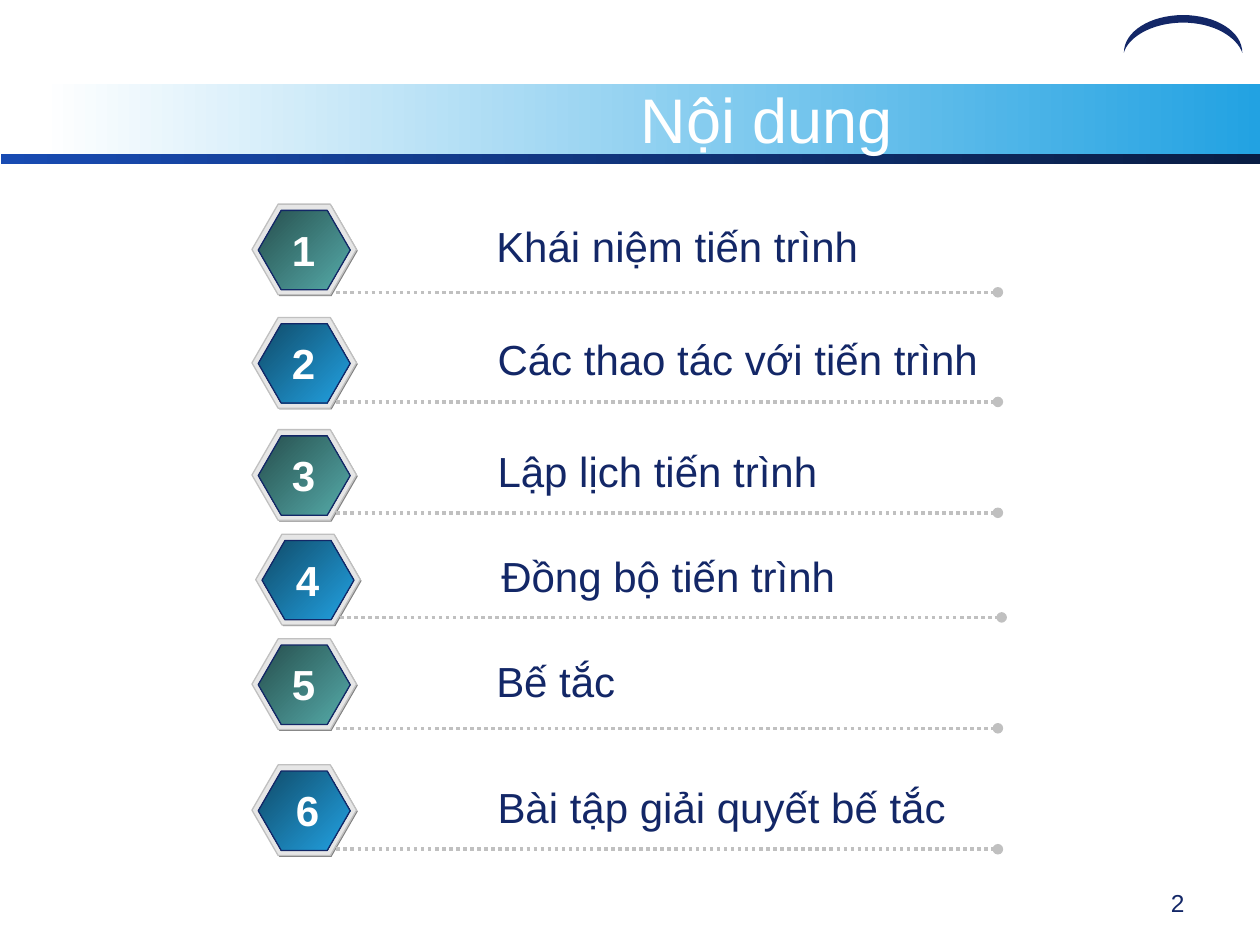
from dataclasses import dataclass

import pptx
import pptx.dml.color
import pptx.enum.dml
import pptx.enum.shapes
import pptx.enum.text
import pptx.oxml
import pptx.oxml.ns
import pptx.util

Inches = pptx.util.Inches
Pt = pptx.util.Pt
Shapes = pptx.enum.shapes.MSO_SHAPE
Align = pptx.enum.text.PP_ALIGN
Anchor = pptx.enum.text.MSO_ANCHOR

NAVY, WHITE, SILVER = "132767", "FFFFFF", "C0C0C0"
TEAL = ("274F4E", "55ABA9")
BLUE = ("104B69", "22A2E2")


@dataclass
class AgendaItem:
    text: str
    top: float           # top of the badge
    rule_y: float        # height of the dotted rule
    colors: tuple[str, str]
    shift: float = 0     # sideways offset of the whole row
    number_shift: float = 0
    text_shift: float = 0


ITEMS = [
    AgendaItem("Khái niệm tiến trình", 1.62, 2.32, TEAL),
    AgendaItem("Các thao tác với tiến trình", 2.52, 3.19, BLUE, text_shift=0.01),
    AgendaItem("Lập lịch tiến trình", 3.41, 4.07, TEAL, text_shift=0.01),
    AgendaItem("Đồng bộ tiến trình", 4.24, 4.9, BLUE, shift=0.03, text_shift=0.01),
    AgendaItem("Bế tắc", 5.07, 5.78, TEAL),
    AgendaItem("Bài tập giải quyết bế tắc", 6.07, 6.74, BLUE,
               number_shift=0.03, text_shift=0.01),
]


def rgb(value: str) -> pptx.dml.color.RGBColor:
    return pptx.dml.color.RGBColor.from_string(value)


def paint(shape, colors: tuple[str, ...], angle: float = 0, outline: str | None = None) -> None:
    """Fill with one colour or a two-colour gradient, and set the outline."""
    shape.shadow.inherit = False
    if len(colors) == 1:
        shape.fill.solid()
        shape.fill.fore_color.rgb = rgb(colors[0])
    else:
        shape.fill.gradient()
        shape.fill.gradient_angle = angle
        for stop, color in zip(shape.fill.gradient_stops, colors):
            stop.color.rgb = rgb(color)
    if outline:
        shape.line.color.rgb = rgb(outline)
        shape.line.width = Pt(0.75)
    else:
        shape.line.fill.background()


def add_block(shapes, kind, left: float, top: float, width: float, height: float,
              colors: tuple[str, ...], angle: float = 0, outline: str | None = None):
    shape = shapes.add_shape(kind, Inches(left), Inches(top), Inches(width), Inches(height))
    paint(shape, colors, angle, outline)
    return shape


def write(frame, text: str, *, size: float, color: str, bold: bool = False,
          align=Align.LEFT, anchor=Anchor.TOP, wrap: bool = True) -> None:
    frame.word_wrap = wrap
    frame.auto_size = pptx.enum.text.MSO_AUTO_SIZE.NONE
    frame.vertical_anchor = anchor
    paragraph = frame.paragraphs[0]
    paragraph.text = text
    paragraph.alignment = align
    paragraph.font.name = "Arial"
    paragraph.font.size = Pt(size)
    paragraph.font.bold = bold
    paragraph.font.color.rgb = rgb(color)


def add_label(slide, left: float, top: float, width: float, height: float,
              text: str, **text_format) -> None:
    box = slide.shapes.add_textbox(Inches(left), Inches(top), Inches(width), Inches(height))
    write(box.text_frame, text, **text_format)


def add_rule(slide, left: float, y: float, width: float) -> None:
    """Dotted line with a round end."""
    rule = slide.shapes.add_connector(
        pptx.enum.shapes.MSO_CONNECTOR.STRAIGHT,
        Inches(left), Inches(y), Inches(left + width), Inches(y))
    rule.line.color.rgb = rgb(SILVER)
    rule.line.width = Pt(2)
    rule.line.dash_style = pptx.enum.dml.MSO_LINE.ROUND_DOT
    namespace = pptx.oxml.ns.nsdecls("a")
    rule.line._get_or_add_ln().append(pptx.oxml.parse_xml(f'<a:tailEnd {namespace} type="oval"/>'))
    rule.element.spPr.append(pptx.oxml.parse_xml(f"<a:effectLst {namespace}/>"))


def add_badge(slide, left: float, top: float, colors: tuple[str, str]) -> None:
    """Hexagon with a shadow edge, a pale rim and a gradient face."""
    group = slide.shapes.add_group_shape()
    layers = [
        (0.01, 0.83, 0.72, ("808080",), None),
        (0, 0.83, 0.72, ("E6E6E6",), SILVER),
        (0.05, 0.73, 0.63, colors, NAVY),
    ]
    for inset, width, height, fill, outline in layers:
        hexagon = add_block(group.shapes, Shapes.HEXAGON, left + inset, top + inset,
                            width, height, fill, 315, outline)
        hexagon.adjustments[0] = 0.289


def add_item(slide, number: int, item: AgendaItem) -> None:
    add_badge(slide, 2 + item.shift, item.top, item.colors)
    add_rule(slide, 2.67 + item.shift, item.rule_y, 5.25)
    add_label(slide, 3.84 + item.shift + item.text_shift, item.top + 0.08, 4.01, 0.5,
              item.text, size=24, color=NAVY, wrap=False)
    add_label(slide, 2.22 + item.shift + item.number_shift, item.top + 0.11, 0.38, 0.5,
              str(number), size=24, color=WHITE, bold=True, align=Align.CENTER, wrap=False)


def bezier(points: list[tuple[float, float]], steps: int = 16) -> list[tuple[float, float]]:
    """Points along a cubic curve, without its start."""
    result = []
    for step in range(1, steps + 1):
        t = step / steps
        weights = ((1 - t) ** 3, 3 * t * (1 - t) ** 2, 3 * t * t * (1 - t), t ** 3)
        result.append(tuple(sum(w * p[axis] for w, p in zip(weights, points))
                            for axis in (0, 1)))
    return result


def add_crescent(slide) -> None:
    right, left = (9.86, 0.42), (8.92, 0.42)
    curves = [
        [right, (9.82, 0.3), (9.64, 0.18), (9.39, 0.18)],
        [(9.39, 0.18), (9.14, 0.18), (8.95, 0.3), left],
        [left, (8.92, 0.25), (9.13, 0.12), (9.39, 0.12)],
        [(9.39, 0.12), (9.65, 0.12), (9.86, 0.25), right],
    ]
    outline = [(Inches(x), Inches(y)) for curve in curves for x, y in bezier(curve)]
    builder = slide.shapes.build_freeform(Inches(right[0]), Inches(right[1]))
    builder.add_line_segments(outline, close=True)
    paint(builder.convert_to_shape(), (NAVY,))


def main() -> None:
    presentation = pptx.Presentation()
    presentation.slide_width, presentation.slide_height = Inches(10), Inches(7.5)
    slide = presentation.slides.add_slide(presentation.slide_layouts[5])

    # Header bands and crescent
    add_block(slide.shapes, Shapes.RECTANGLE, 0.33, 0.67, 9.67, 0.58, (WHITE, "22A2E2"))
    add_block(slide.shapes, Shapes.RECTANGLE, 0.01, 1.22, 9.99, 0.08, ("184BB2", "091D44"))
    add_crescent(slide)

    # Title, raised above the header bands
    title = slide.shapes.title
    title.left, title.top = Inches(2.67), Inches(0.67)
    title.width, title.height = Inches(6.83), Inches(0.53)
    write(title.text_frame, "Nội dung", size=36, color=WHITE,
          align=Align.CENTER, anchor=Anchor.MIDDLE)
    title.element.getparent().append(title.element)

    # Agenda
    for number, item in enumerate(ITEMS, start=1):
        add_item(slide, number, item)

    # Page number
    add_label(slide, 7.17, 7, 2.33, 0.35, "2", size=14, color=NAVY, align=Align.RIGHT)

    presentation.save("out.pptx")


if __name__ == "__main__":
    main()
